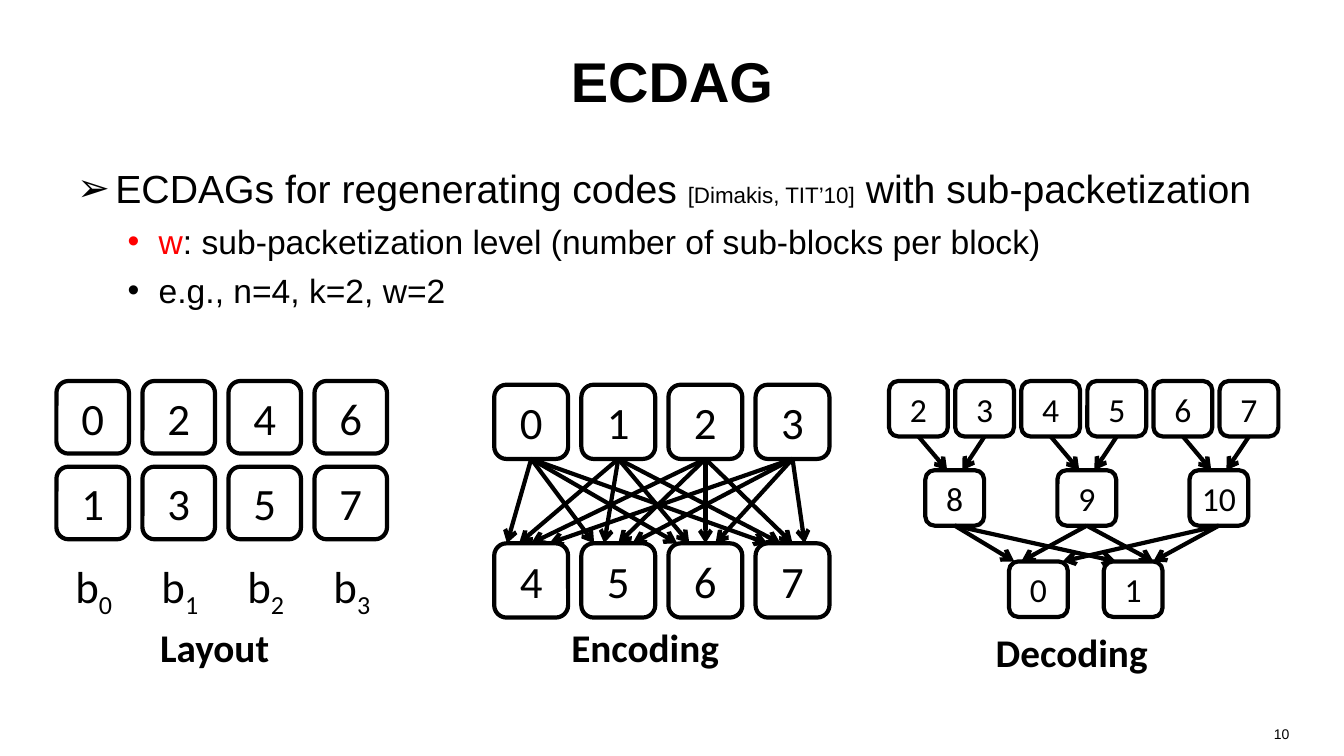
from lxml import etree
from pptx import Presentation
from pptx.dml.color import RGBColor
from pptx.enum.shapes import MSO_CONNECTOR, MSO_SHAPE
from pptx.enum.text import MSO_ANCHOR, MSO_AUTO_SIZE, PP_ALIGN
from pptx.oxml.ns import qn
from pptx.util import Inches, Pt

ROUNDED = MSO_SHAPE.ROUNDED_RECTANGLE
STRAIGHT = MSO_CONNECTOR.STRAIGHT
LEFT, CENTER, RIGHT = PP_ALIGN.LEFT, PP_ALIGN.CENTER, PP_ALIGN.RIGHT
TOP, MIDDLE = MSO_ANCHOR.TOP, MSO_ANCHOR.MIDDLE
TOP_SITE, BOTTOM_SITE = 0, 2
COLORS = {"ink": "000000", "accent": "FF0000"}
HEADING_FONT, DIAGRAM_FONT = "Arial", "Calibri"
COLUMNS, ROWS = 160, 90
WIDTH, HEIGHT = Inches(13.33), Inches(7.5)


class Board:
    """Draws on one slide, measured in columns and rows of a fine grid."""

    def __init__(self, page):
        self.page = page
        self.shapes = page.shapes

    def start_group(self):
        self.shapes = self.page.shapes.add_group_shape().shapes

    def x(self, columns):
        return round(WIDTH * columns / COLUMNS)

    def y(self, rows):
        return round(HEIGHT * rows / ROWS)

    def place(self, left, top, width, height):
        return self.x(left), self.y(top), self.x(width), self.y(height)

    def style(self, span, size, font, color="ink", bold=False):
        span.font.size = Pt(size)
        span.font.name = font
        span.font.bold = bold
        span.font.color.rgb = RGBColor.from_string(COLORS[color])

    def text(self, area, words, size, font=HEADING_FONT, bold=False,
             align=LEFT, anchor=TOP, wrap=True):
        frame = self.shapes.add_textbox(*self.place(*area)).text_frame
        frame.word_wrap = wrap
        if not wrap:
            frame.auto_size = MSO_AUTO_SIZE.SHAPE_TO_FIT_TEXT
        frame.vertical_anchor = anchor
        frame.text = words
        para = frame.paragraphs[0]
        para.alignment = align
        self.style(para.runs[0], size, font, bold=bold)
        return para

    def caption(self, left, top, width, words):
        self.text((left, top, width, 6.84), words, 28, DIAGRAM_FONT, True, wrap=False)

    def block_label(self, left, top, index):
        para = self.text((left, top, 7.08, 7.68), "b", 32, DIAGRAM_FONT, wrap=False)
        span = para.add_run()
        span.text = str(index)
        self.style(span, 32, DIAGRAM_FONT)
        span.font._element.set("baseline", "-25000")

    def bullets(self, area, items):
        """Each item is (bullet, margin, hang, spans); a span is (words, size, color)."""
        frame = self.shapes.add_textbox(*self.place(*area)).text_frame
        frame.word_wrap = True
        for number, (bullet, margin, hang, spans) in enumerate(items):
            para = frame.add_paragraph() if number else frame.paragraphs[0]
            para.level = min(number, 1)
            properties = para._p.get_or_add_pPr()
            properties.set("marL", str(Inches(margin)))
            properties.set("indent", str(-Inches(hang)))
            etree.SubElement(properties, qn("a:buFont")).set("typeface", HEADING_FONT)
            etree.SubElement(properties, qn("a:buChar")).set("char", bullet)
            if number:
                para.space_before = Pt(6.5)
            for words, size, color in spans:
                span = para.add_run()
                span.text = words
                self.style(span, size, HEADING_FONT, color)

    def node(self, area, label, size):
        box = self.shapes.add_shape(ROUNDED, *self.place(*area))
        box.shadow.inherit = False
        box.fill.background()
        self.outline(box)
        frame = box.text_frame
        frame.margin_left = frame.margin_right = 0
        frame.margin_top = frame.margin_bottom = 0
        frame.vertical_anchor = MIDDLE
        frame.text = str(label)
        para = frame.paragraphs[0]
        para.alignment = CENTER
        self.style(para.runs[0], size, DIAGRAM_FONT)
        return box

    def node_row(self, left, top, pitch, width, height, labels, size):
        return [self.node((left + pitch * i, top, width, height), label, size)
                for i, label in enumerate(labels)]

    def outline(self, shape):
        shape.line.color.rgb = RGBColor.from_string(COLORS["ink"])
        shape.line.width = Pt(3)

    def link(self, sources, target, offsets):
        """Arrows from each source to the target's top, offset from its middle."""
        middle = target.left + target.width // 2
        for source, offset in zip(sources, offsets):
            arrow = self.shapes.add_connector(
                STRAIGHT, source.left + source.width // 2, source.top + source.height,
                middle + self.x(offset), target.top)
            arrow.begin_connect(source, BOTTOM_SITE)
            if offset == 0:
                arrow.end_connect(target, TOP_SITE)
            self.outline(arrow)
            etree.SubElement(arrow.line._get_or_add_ln(), qn("a:tailEnd")).set("type", "arrow")
            etree.SubElement(arrow._element.spPr, qn("a:effectLst"))


def draw_layout(board):
    board.start_group()
    board.caption(17.88, 73.56, 15.6, "Layout")
    left, pitch = 6.72, 10.24
    for row in range(2):
        board.node_row(left, 45.36 + 10.2 * row, pitch, 8.64, 8.64, range(row, 8, 2), 32)
    for index in range(4):
        board.block_label(left + 1.08 + pitch * index, 65.88, index)


def draw_encoding(board):
    board.start_group()
    board.caption(66.84, 73.56, 20.16, "Encoding")
    data, parity = [board.node_row(58.84, top, 10.37, 8.8, 8.84, labels, 32)
                    for top, labels in ((45.8, range(4)), (64.68, range(4, 8)))]
    arrivals = [(-2.88, -1.44, 0, 2.16), (-2.88, -1.68, 0, 1.68),
                (-3.36, -1.92, 0, 1.2), (-3, -1.44, 0, 1.44)]
    for target, offsets in zip(parity, arrivals):
        board.link(data, target, offsets)


def draw_decoding(board):
    board.start_group()
    board.caption(117.36, 74.16, 20.64, "Decoding")
    helpers, combined, repaired = [
        board.node_row(left, top, pitch, 7, 6.6, labels, 24)
        for left, top, pitch, labels in ((105.84, 45.36, 7.87, range(2, 8)),
                                         (110.16, 55.98, 15.72, range(8, 11)),
                                         (120.12, 66.84, 11.28, range(2)))]
    for i, target in enumerate(combined):
        board.link(helpers[2 * i:2 * i + 2], target, (-0.9, 0.9))
    for target, offsets in zip(repaired, [(-2.88, -2.04, 2.88), (-2.04, 2.4, 2.4)]):
        board.link(combined, target, offsets)


def main():
    deck = Presentation()
    deck.slide_width, deck.slide_height = WIDTH, HEIGHT
    board = Board(deck.slides.add_slide(deck.slide_layouts[6]))
    board.text((8, 2, 144, 15), "ECDAG", 40, bold=True, align=CENTER, anchor=MIDDLE)
    board.bullets((8, 19, 144, 20.6), [
        ("➢", 0.38, 0.38, [("ECDAGs for regenerating codes ", 28, "ink"),
                           ("[Dimakis, TIT’10]", 16, "ink"),
                           (" with sub-packetization", 28, "ink")]),
        ("•", 0.81, 0.31, [("w", 24, "accent"),
                           (": sub-packetization level (number of sub-blocks per block)",
                            24, "ink")]),
        ("•", 0.81, 0.31, [("e.g., n=4, k=2, w=2", 24, "ink")]),
    ])
    board.text((117.36, 85.8, 37.32, 4.2), "10", 10, align=RIGHT)
    draw_layout(board)
    draw_encoding(board)
    draw_decoding(board)
    deck.save("out.pptx")


if __name__ == "__main__":
    main()
